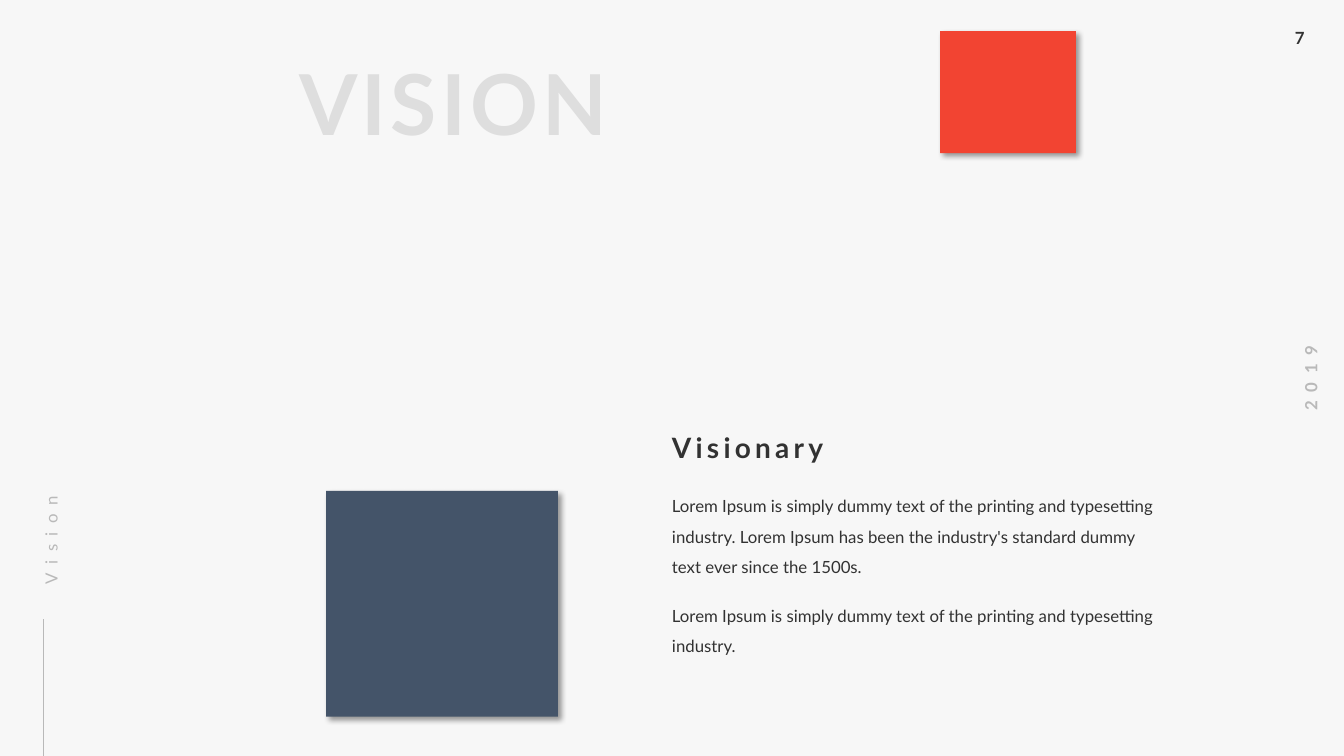
"""Build the Vision slide."""
from dataclasses import dataclass

from lxml import etree
from pptx import Presentation
from pptx.dml.color import RGBColor
from pptx.enum.shapes import MSO_CONNECTOR, MSO_SHAPE
from pptx.enum.text import MSO_ANCHOR, MSO_AUTO_SIZE, PP_ALIGN
from pptx.oxml.ns import qn
from pptx.shapes.autoshape import Shape
from pptx.slide import Slide
from pptx.util import Inches, Pt

RECTANGLE = MSO_SHAPE.RECTANGLE
STRAIGHT = MSO_CONNECTOR.STRAIGHT
TOP = MSO_ANCHOR.TOP
GROW = MSO_AUTO_SIZE.SHAPE_TO_FIT_TEXT
LEFT, CENTER = PP_ALIGN.LEFT, PP_ALIGN.CENTER

SLIDE_WIDTH, SLIDE_HEIGHT = Inches(13.33), Inches(7.5)
TITLE_ONLY_LAYOUT = 5
HALF = 50
BODY_WIDTH = 36.68


@dataclass(frozen=True)
class Theme:
    """Colours, font and type sizes of the slide."""

    background: str = "F7F7F7"
    ink: str = "323232"
    muted: str = "B9B9B9"
    ghost: str = "DEDEDE"
    slate: str = "445469"
    coral: str = "F24432"
    shadow: str = "000000"
    font: str = "Lato"
    title_size: int = 60
    heading_size: int = 20
    body_size: int = 12


THEME = Theme()


@dataclass(frozen=True)
class Frame:
    """A rectangle in percent of the slide's width and height."""

    left: float
    top: float
    width: float
    height: float


@dataclass(frozen=True)
class Label:
    """A text with its place and style."""

    frame: Frame
    text: str
    color: str = THEME.ink
    size: int = THEME.body_size
    bold: bool = False
    tracking: int = 0
    line_spacing: float = 1.0
    space_before: int = 0
    alignment: PP_ALIGN = LEFT
    rotation: int = 0
    wrap: bool = True
    inset: bool = False


@dataclass(frozen=True)
class Tile:
    """A coloured rectangle with a soft shadow."""

    frame: Frame
    color: str


TITLE = Label(Frame(22.28, 6.8, 30, 13.33), "VISION", THEME.ghost,
              THEME.title_size, bold=True, tracking=3)

LABELS = (
    Label(Frame(95.6, 3, 3.08, 4), "7", bold=True, wrap=False, inset=True),
    Label(Frame(94.03, 48, 6.98, 4), "2019", THEME.muted, bold=True, tracking=6,
          alignment=CENTER, rotation=270, wrap=False, inset=True),
    Label(Frame(-3.68, 63.2, 13.88, 3.47), "Vision", THEME.muted, tracking=6,
          line_spacing=1.5, space_before=12, rotation=270),
    Label(Frame(HALF, 56.93, 26.26, 4.53), "Visionary", size=THEME.heading_size,
          bold=True, tracking=3, space_before=12),
    Label(Frame(HALF, 64.3, BODY_WIDTH, 11.6),
          "Lorem Ipsum is simply dummy text of the printing and typesetting industry. "
          "Lorem Ipsum has been the industry's standard dummy text ever since the 1500s.",
          line_spacing=1.5, space_before=12),
    Label(Frame(HALF, 78.8, BODY_WIDTH, 7.6),
          "Lorem Ipsum is simply dummy text of the printing and typesetting industry.",
          line_spacing=1.5, space_before=12),
)

TILES = (
    Tile(Frame(24.27, 64.93, 17.25, 29.87), THEME.slate),
    Tile(Frame(69.95, 4.13, 10.1, 16.13), THEME.coral),
)


def across(percent: float) -> int:
    """Return a share of the slide's width."""
    return round(SLIDE_WIDTH * percent / 100)


def down(percent: float) -> int:
    """Return a share of the slide's height."""
    return round(SLIDE_HEIGHT * percent / 100)


def box(frame: Frame) -> tuple[int, int, int, int]:
    """Return left, top, width and height of a frame as lengths."""
    return across(frame.left), down(frame.top), across(frame.width), down(frame.height)


def write_label(shape: Shape, label: Label) -> None:
    """Place a text shape, then fill and format it."""
    shape.left, shape.top, shape.width, shape.height = box(label.frame)
    shape.rotation = label.rotation
    text_frame = shape.text_frame
    text_frame.word_wrap = label.wrap
    text_frame.auto_size = GROW
    text_frame.vertical_anchor = TOP
    if not label.inset:
        text_frame.margin_left = text_frame.margin_top = text_frame.margin_bottom = 0
    text_frame.text = label.text
    paragraph = text_frame.paragraphs[0]
    paragraph.alignment = label.alignment
    paragraph.line_spacing = label.line_spacing
    paragraph.space_before = Pt(label.space_before)
    paragraph.font.name = THEME.font
    paragraph.font.size = Pt(label.size)
    paragraph.font.bold = label.bold
    paragraph.font.color.rgb = RGBColor.from_string(label.color)
    for run in paragraph.runs:
        run._r.get_or_add_rPr().set("spc", str(label.tracking * 100))


def add_tile(slide: Slide, tile: Tile) -> None:
    """Draw a coloured rectangle with a shadow to the lower right."""
    shape = slide.shapes.add_shape(RECTANGLE, *box(tile.frame))
    shape.fill.solid()
    shape.fill.fore_color.rgb = RGBColor.from_string(tile.color)
    shape.line.fill.background()
    shape.shadow.inherit = False
    effects = shape._element.spPr.find(qn("a:effectLst"))
    shadow = etree.SubElement(effects, qn("a:outerShdw"), blurRad=str(Pt(4)),
                              dist=str(Pt(3)), dir=str(45 * 60000),
                              algn="tl", rotWithShape="0")
    color = etree.SubElement(shadow, qn("a:srgbClr"), val=THEME.shadow)
    etree.SubElement(color, qn("a:alpha"), val="40000")


def add_margin_line(slide: Slide) -> None:
    """Draw the thin line rising from the slide's lower edge."""
    line = slide.shapes.add_connector(
        STRAIGHT, across(3.23), down(100), across(3.23), down(81.87))
    line.line.color.rgb = RGBColor.from_string(THEME.muted)
    line.line.width = Pt(0.5)
    etree.SubElement(line._element.spPr, qn("a:effectLst"))


def main() -> None:
    """Build and save the presentation."""
    presentation = Presentation()
    presentation.slide_width, presentation.slide_height = SLIDE_WIDTH, SLIDE_HEIGHT
    slide = presentation.slides.add_slide(presentation.slide_layouts[TITLE_ONLY_LAYOUT])
    slide.background.fill.solid()
    slide.background.fill.fore_color.rgb = RGBColor.from_string(THEME.background)
    write_label(slide.shapes.title, TITLE)
    for tile in TILES:
        add_tile(slide, tile)
    add_margin_line(slide)
    for label in LABELS:
        write_label(slide.shapes.add_textbox(*box(label.frame)), label)
    presentation.save("out.pptx")


if __name__ == "__main__":
    main()
